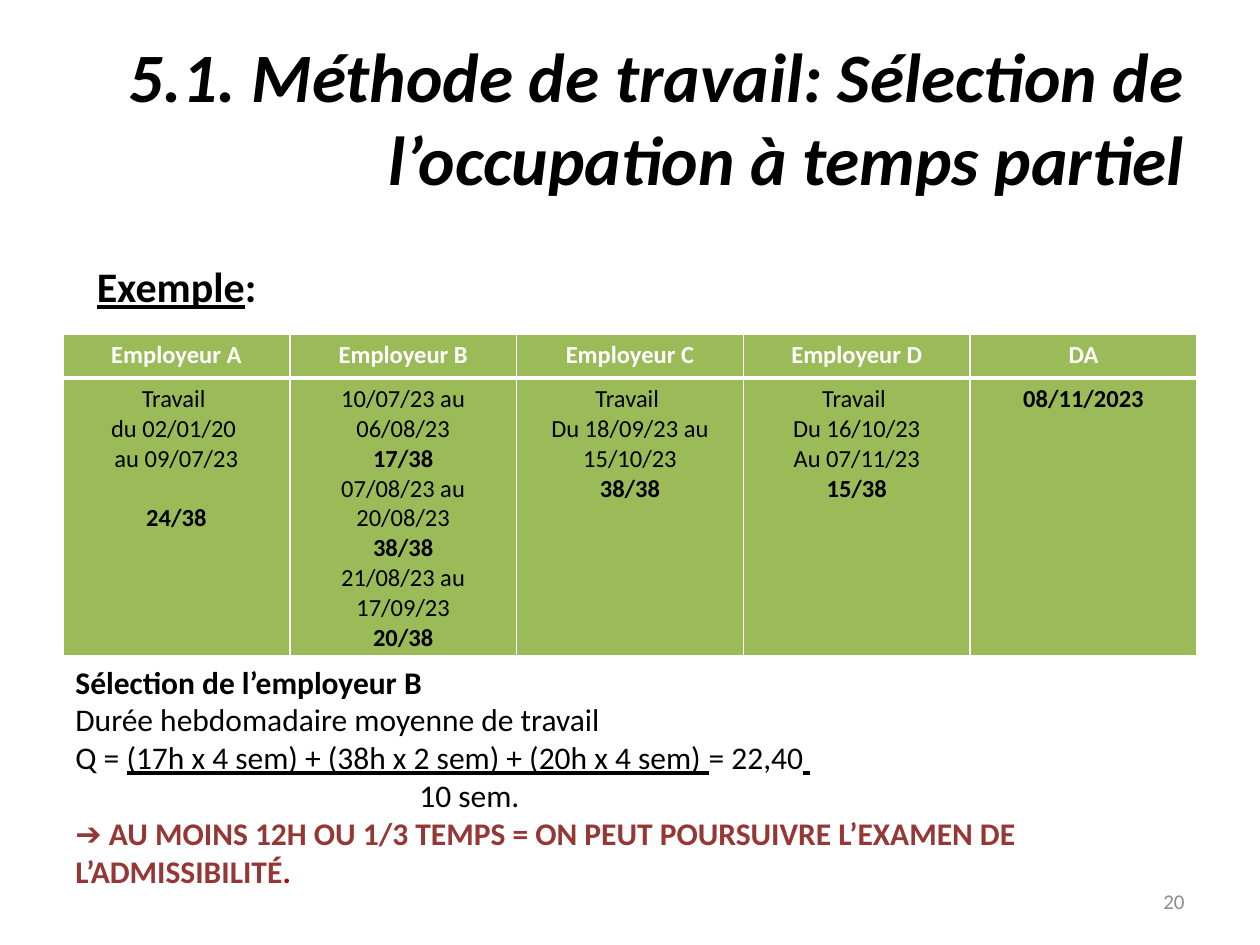
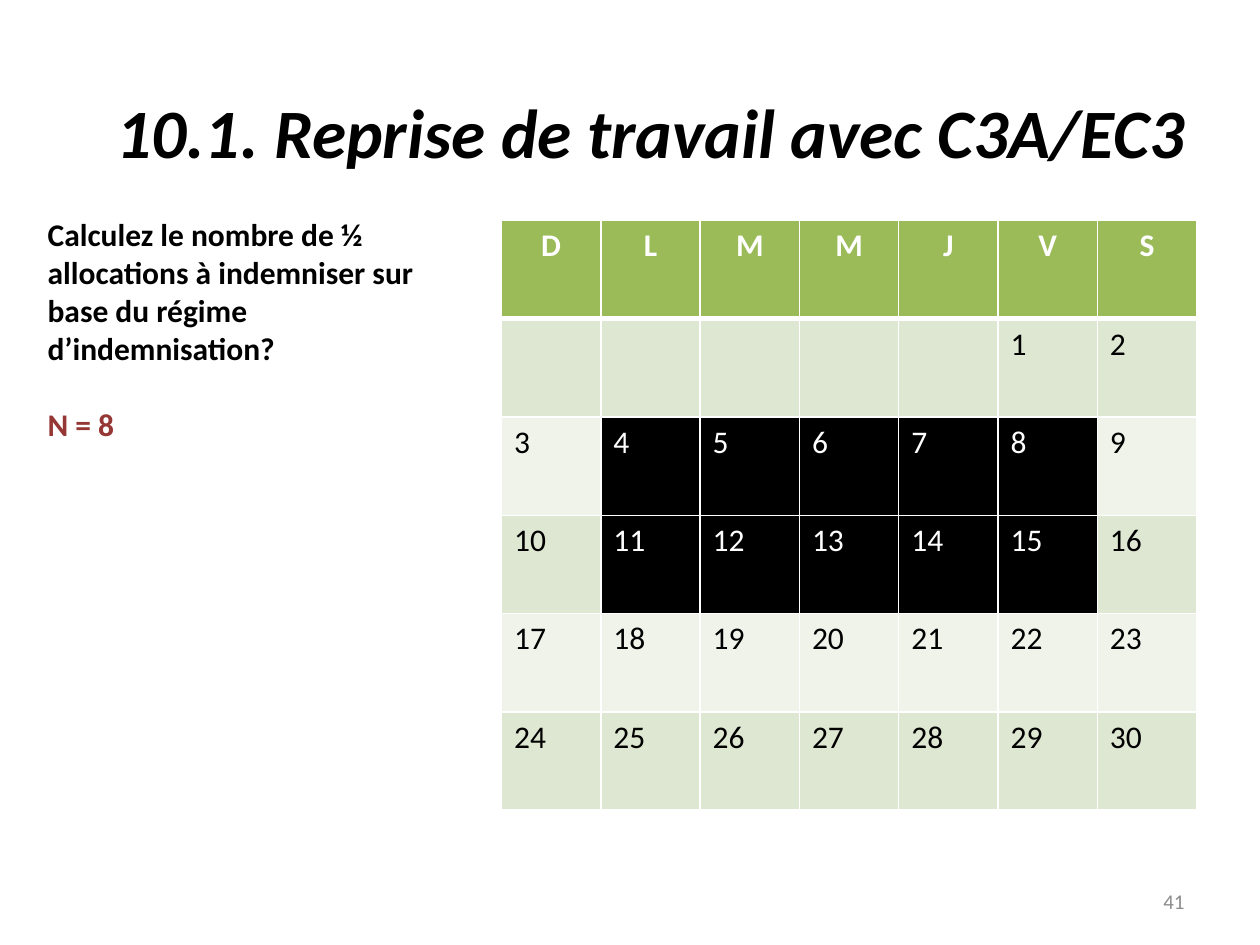
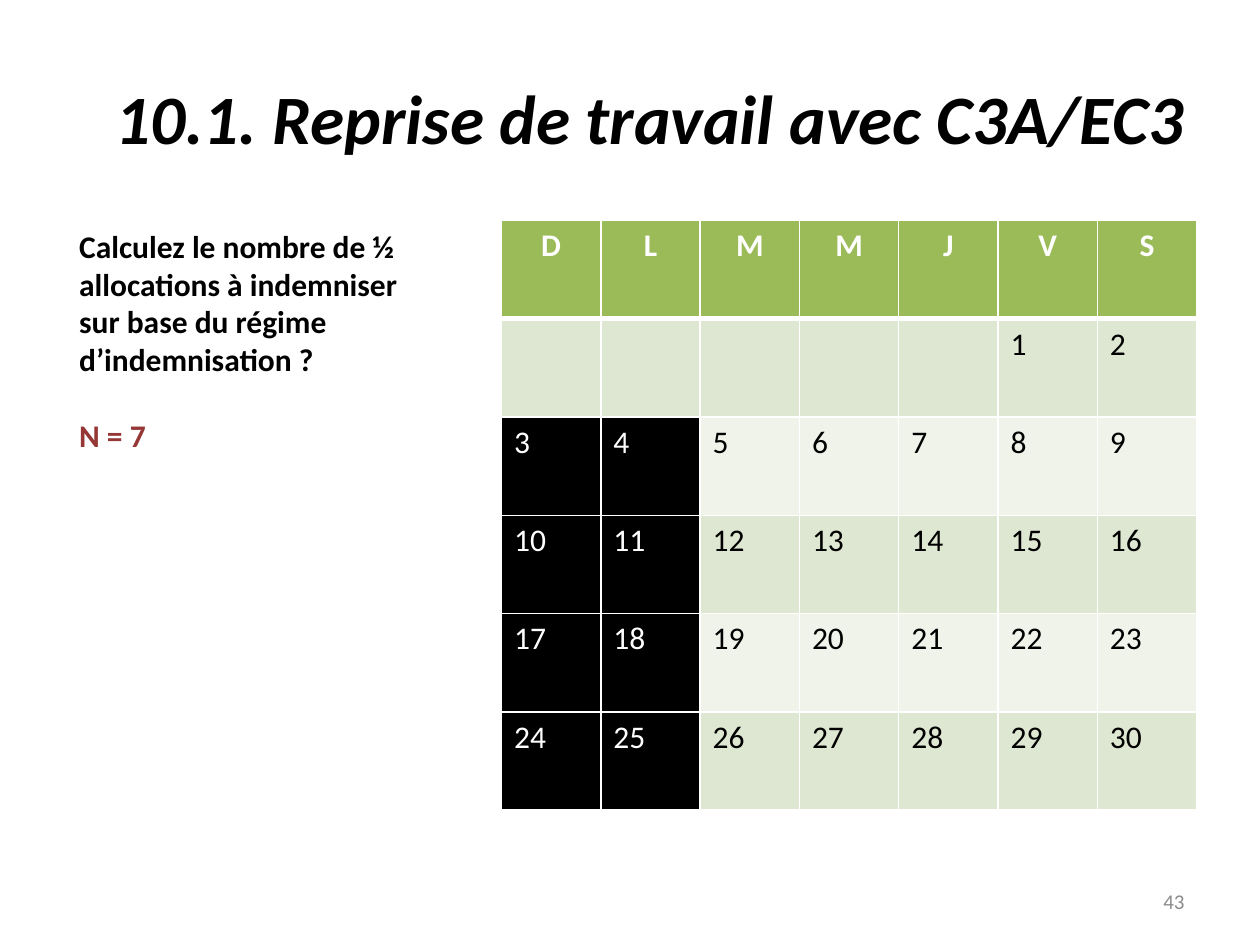
from lxml.etree import SubElement
from pptx import Presentation
from pptx.dml.color import RGBColor
from pptx.enum.text import MSO_ANCHOR, MSO_AUTO_SIZE, PP_ALIGN
from pptx.oxml.ns import qn
from pptx.util import Inches, Pt

BLACK, WHITE, GREY = "000000", "FFFFFF", "8C8C8C"
GREEN, BAND_DARK, BAND_LIGHT = "9BBB59", "DEE7D1", "EFF3EA"
ANSWER_RED, STOP_RED = "953735", "C00000"
BOLD, PLAIN, UNDERLINED = {"bold": True}, {}, {"underline": True}


def rgb(hex_colour):
    return RGBColor.from_string(hex_colour)


class Deck:
    """Holds the shared style and the slide being filled."""

    font = "Calibri"
    title_format = {"size": Pt(39.6), "bold": True, "italic": True}

    def __init__(self):
        self.presentation = Presentation()
        self.presentation.slide_width = Inches(10)
        self.presentation.slide_height = Inches(7.5)
        self.slide = None

    def add_slide(self, heading, number, left=0.5, top=0.3):
        layout = self.presentation.slide_layouts[5]
        self.slide = self.presentation.slides.add_slide(layout)
        title = self.slide.shapes.title
        self.place(title, left, top, 9, 1.25)
        frame = title.text_frame
        frame.auto_size = MSO_AUTO_SIZE.NONE
        frame.vertical_anchor = MSO_ANCHOR.MIDDLE
        self.fill_text(frame, [[(heading, self.title_format)]], align=PP_ALIGN.RIGHT)
        # Page number
        self.text([[(str(number), PLAIN)]], 7.17, 6.95, 2.33, 0.4, size=12,
                  colour=GREY, align=PP_ALIGN.RIGHT, anchor=MSO_ANCHOR.MIDDLE)

    def place(self, shape, *box):
        for side, length in zip(("left", "top", "width", "height"), box):
            setattr(shape, side, Inches(length))

    def fill_text(self, frame, paragraphs, size=18, colour=BLACK, align=None):
        """Each paragraph is a list of (text, font format) runs."""
        for index, runs in enumerate(paragraphs):
            paragraph = frame.paragraphs[0] if index == 0 else frame.add_paragraph()
            paragraph.alignment = align
            for words, font_format in runs:
                run = paragraph.add_run()
                run.text = words
                values = {"name": self.font, "size": Pt(size), "bold": False,
                          "color": colour, **font_format}
                run.font.color.rgb = rgb(values.pop("color"))
                for attribute, value in values.items():
                    setattr(run.font, attribute, value)

    def text(self, paragraphs, left, top, width, height,
             anchor=MSO_ANCHOR.TOP, **style):
        box = self.slide.shapes.add_textbox(
            Inches(left), Inches(top), Inches(width), Inches(height))
        frame = box.text_frame
        frame.word_wrap = True
        frame.vertical_anchor = anchor
        self.fill_text(frame, paragraphs, **style)
        return frame

    def table(self, left, top, width, row_heights, column_count):
        grid = self.slide.shapes.add_table(
            len(row_heights), column_count, Inches(left), Inches(top),
            Inches(width), Inches(sum(row_heights))).table
        for row, height in zip(grid.rows, row_heights):
            row.height = Inches(height)
        for column in grid.columns:
            column.width = Inches(width / column_count)
        return grid

    def cell(self, grid, row, column, paragraphs, fill, **style):
        cell = grid.cell(row, column)
        # White borders, thick between the header and the first row
        thick_side = {0: "lnB", 1: "lnT"}.get(row)
        properties = cell._tc.get_or_add_tcPr()
        for side in ("lnL", "lnR", "lnT", "lnB"):
            points = 3 if side == thick_side else 1
            line = SubElement(properties, qn(f"a:{side}"), w=str(Pt(points)))
            SubElement(SubElement(line, qn("a:solidFill")), qn("a:srgbClr"), val=WHITE)
        cell.fill.solid()
        cell.fill.fore_color.rgb = rgb(fill)
        self.fill_text(cell.text_frame, paragraphs, **style)
        return cell

    def header(self, grid, labels, size):
        for column, label in enumerate(labels):
            self.cell(grid, 0, column, [[(label, BOLD)]], GREEN,
                      size=size, colour=WHITE, align=PP_ALIGN.CENTER)

    def calendar(self, worked_days):
        """A month of 30 days that starts on a Friday."""
        grid = self.table(3.98, 1.75, 5.52, [0.78] * 6, 7)
        self.header(grid, "DLMMJVS", 18)
        for week in range(1, 6):
            for weekday in range(7):
                day = (week - 1) * 7 + weekday - 4
                fill, colour = (BAND_DARK if week % 2 else BAND_LIGHT), BLACK
                if day in worked_days:
                    fill, colour = BLACK, WHITE
                label = [[(str(day), PLAIN)]] if day > 0 else []
                self.cell(grid, week, weekday, label, fill, colour=colour)

    def question(self, wording, answer, left, top, width):
        frame = self.text(
            [[(wording, BOLD)], [(answer, {"bold": True, "color": ANSWER_RED})]],
            left, top, width, 2.22)
        frame.paragraphs[1].space_before = Pt(22)


def part_time_slide(deck):
    deck.add_slide("5.1. Méthode de travail: Sélection de l’occupation à temps partiel", 20)

    # Employers and their periods of work
    employers = {
        "Employeur A": ["Travail ", "du 02/01/20 ", "au 09/07/23", "24/38"],
        "Employeur B": ["10/07/23 au 06/08/23", "17/38", "07/08/23 au 20/08/23",
                        "38/38", "21/08/23 au 17/09/23", "20/38"],
        "Employeur C": ["Travail ", "Du 18/09/23 au 15/10/23", "38/38"],
        "Employeur D": ["Travail ", "Du 16/10/23", "Au 07/11/23", "15/38"],
        "DA": ["08/11/2023"],
    }
    grid = deck.table(0.5, 2.65, 9, [0.35, 2.2], len(employers))
    deck.header(grid, employers, 14)
    for column, (employer, lines) in enumerate(employers.items()):
        paragraphs = [[(line, BOLD if line.endswith("/38") or employer == "DA" else PLAIN)]
                      for line in lines]
        cell = deck.cell(grid, 1, column, paragraphs, GREEN, size=14,
                         align=PP_ALIGN.CENTER)
        if employer == "Employeur A":
            cell.text_frame.paragraphs[-1].space_before = Pt(17)

    # Calculation and conclusion
    calculation = deck.text([
        [("Sélection de l’employeur B", BOLD)],
        [("Durée hebdomadaire moyenne de travail", PLAIN)],
        [("Q = ", PLAIN),
         ("(17h x 4 sem) + (38h x 2 sem) + (20h x 4 sem) ", UNDERLINED),
         ("= 22,40", PLAIN), (" ", UNDERLINED)],
        [("10 sem.", PLAIN)],
        [("➔ AU MOINS 12H OU 1/3 TEMPS = ON PEUT POURSUIVRE L’EXAMEN DE L’ADMISSIBILITÉ",
          {"bold": True, "color": ANSWER_RED}),
         (".", {"bold": True, "color": STOP_RED})],
    ], 0.5, 5.21, 7.89, 2.2)
    divisor = calculation.paragraphs[3]._p.get_or_add_pPr()
    divisor.set("marL", str(Inches(2.73)))

    deck.text([[("Exemple", {**BOLD, **UNDERLINED}), (":", BOLD)]],
              0.67, 2.02, 2.44, 0.5, size=24)


def main():
    deck = Deck()
    part_time_slide(deck)

    # Exercises on going back to work
    resumption = "10.1. Reprise de travail avec C3A/EC3"
    wording = "Calculez le nombre de ½ allocations à indemniser sur base du régime d’indemnisation"

    deck.add_slide(resumption, 41, left=0.51, top=0.41)
    deck.calendar({*range(4, 9), *range(11, 16)})
    deck.question(wording + "?", "N = 8", 0.28, 1.66, 3.24)

    deck.add_slide(resumption, 43)
    deck.calendar({*range(3, 25, 7), *range(4, 26, 7)})
    deck.question(wording + " ?", "N = 7", 0.53, 1.75, 3.08)

    deck.presentation.save("out.pptx")


if __name__ == "__main__":
    main()
